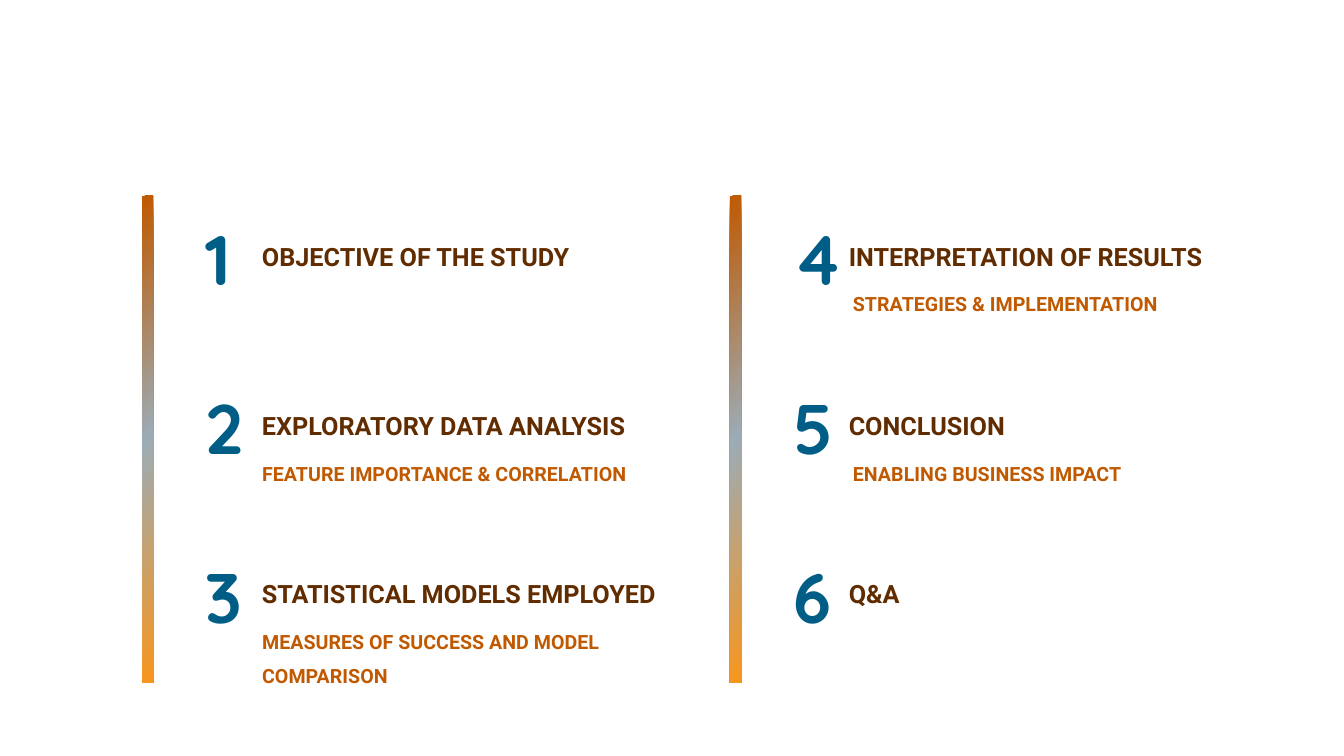
from copy import deepcopy

from pptx import Presentation
from pptx.dml.color import RGBColor
from pptx.enum.shapes import MSO_SHAPE
from pptx.enum.text import MSO_ANCHOR, MSO_AUTO_SIZE
from pptx.oxml.ns import qn
from pptx.util import Pt

PX = 9144  # 100 px to the inch
COLORS = {
    "number": "005E86",
    "title": "602C00",
    "subtitle": "C05900",
    "bar_top": "C05900",
    "bar_middle": "9CACB6",
    "bar_bottom": "F7961F",
}
BAR_STOPS = [(0, "bar_top"), (0.5, "bar_middle"), (0.99, "bar_bottom"), (1, "bar_bottom")]
FONTS = {
    "number": {"name": "Quicksand", "size": Pt(50), "bold": True},
    "title": {"name": "Roboto", "size": Pt(18), "bold": True},
    "subtitle": {"name": "Roboto", "size": Pt(14), "bold": True},
}
WIDE_MARGINS = {"margin_left": 10, "margin_right": 10, "margin_top": 5, "margin_bottom": 5}
MARGINS = {
    "number": WIDE_MARGINS,
    "title": WIDE_MARGINS,
    "subtitle": {"margin_left": 5, "margin_right": 5, "margin_top": 2, "margin_bottom": 2},
}

ROW_TOPS = [209, 377, 544]
# Each agenda item: title, title width, subtitle, subtitle width, subtitle height
COLUMNS = [
    {
        "bar": 141, "number": 194, "title": 250, "subtitle": 255,
        "items": [
            ("OBJECTIVE OF THE STUDY", 326, None, 0, 0),
            ("EXPLORATORY DATA ANALYSIS", 427, "FEATURE IMPORTANCE & CORRELATION", 413, 29),
            ("STATISTICAL MODELS EMPLOYED", 451,
             "MEASURES OF SUCCESS AND MODEL COMPARISON", 357, 62),
        ],
    },
    {
        "bar": 724, "number": 777, "title": 832, "subtitle": 841,
        "items": [
            ("INTERPRETATION OF RESULTS", 413, "STRATEGIES & IMPLEMENTATION", 357, 29),
            ("CONCLUSION", 194, "ENABLING BUSINESS IMPACT", 357, 29),
            ("Q&A", 82, None, 0, 0),
        ],
    },
]


def scaled(*lengths):
    """Turn px lengths into EMU."""
    return [length * PX for length in lengths]


def add_gradient_bar(slide, left):
    shape = slide.shapes.add_shape(MSO_SHAPE.RECTANGLE, *scaled(left, 194, 11, 483))
    shape.shadow.inherit = False
    shape.line.fill.background()
    shape.fill.gradient()
    shape.fill.gradient_angle = 315
    stop_list = shape._element.spPr.find(qn("a:gradFill")).find(qn("a:gsLst"))
    while len(stop_list) < len(BAR_STOPS):
        stop_list.append(deepcopy(stop_list[0]))
    for stop, (position, color) in zip(shape.fill.gradient_stops, BAR_STOPS):
        stop.position = position
        stop.color.rgb = RGBColor.from_string(COLORS[color])


def add_text(slide, role, text, left, top, width, height):
    """Add a text box in the style of its role: number, title or subtitle."""
    frame = slide.shapes.add_textbox(*scaled(left, top, width, height)).text_frame
    frame.word_wrap = True
    frame.auto_size = MSO_AUTO_SIZE.SHAPE_TO_FIT_TEXT
    frame.vertical_anchor = MSO_ANCHOR.BOTTOM if role == "title" else MSO_ANCHOR.TOP
    for side, margin in MARGINS[role].items():
        setattr(frame, side, margin * PX)
    paragraph = frame.paragraphs[0]
    if role == "subtitle":
        paragraph.line_spacing = 1.43
    run = paragraph.add_run()
    run.text = text
    for attribute, value in FONTS[role].items():
        setattr(run.font, attribute, value)
    run.font.color.rgb = RGBColor.from_string(COLORS[role])


def add_agenda_item(slide, column, top, number, item):
    title, title_width, subtitle, subtitle_width, subtitle_height = item
    add_text(slide, "number", str(number), column["number"], top, 62, 94)
    add_text(slide, "title", title, column["title"], top + 25, title_width, 40)
    if subtitle:
        add_text(slide, "subtitle", subtitle, column["subtitle"], top + 69,
                 subtitle_width, subtitle_height)


def main():
    presentation = Presentation()
    presentation.slide_width, presentation.slide_height = scaled(1333, 750)
    slide = presentation.slides.add_slide(presentation.slide_layouts[6])
    number = 1
    for column in COLUMNS:
        add_gradient_bar(slide, column["bar"])
        for top, item in zip(ROW_TOPS, column["items"]):
            add_agenda_item(slide, column, top, number, item)
            number += 1
    presentation.save("out.pptx")


if __name__ == "__main__":
    main()
